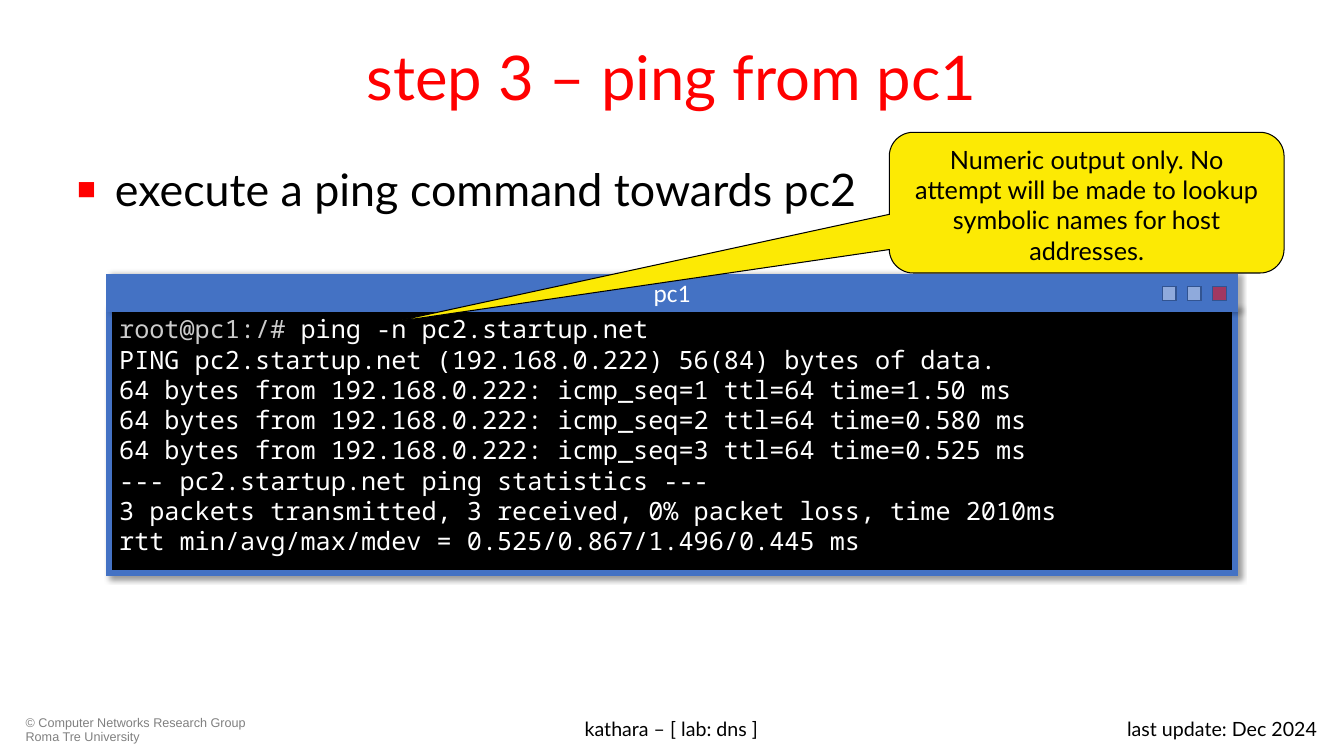
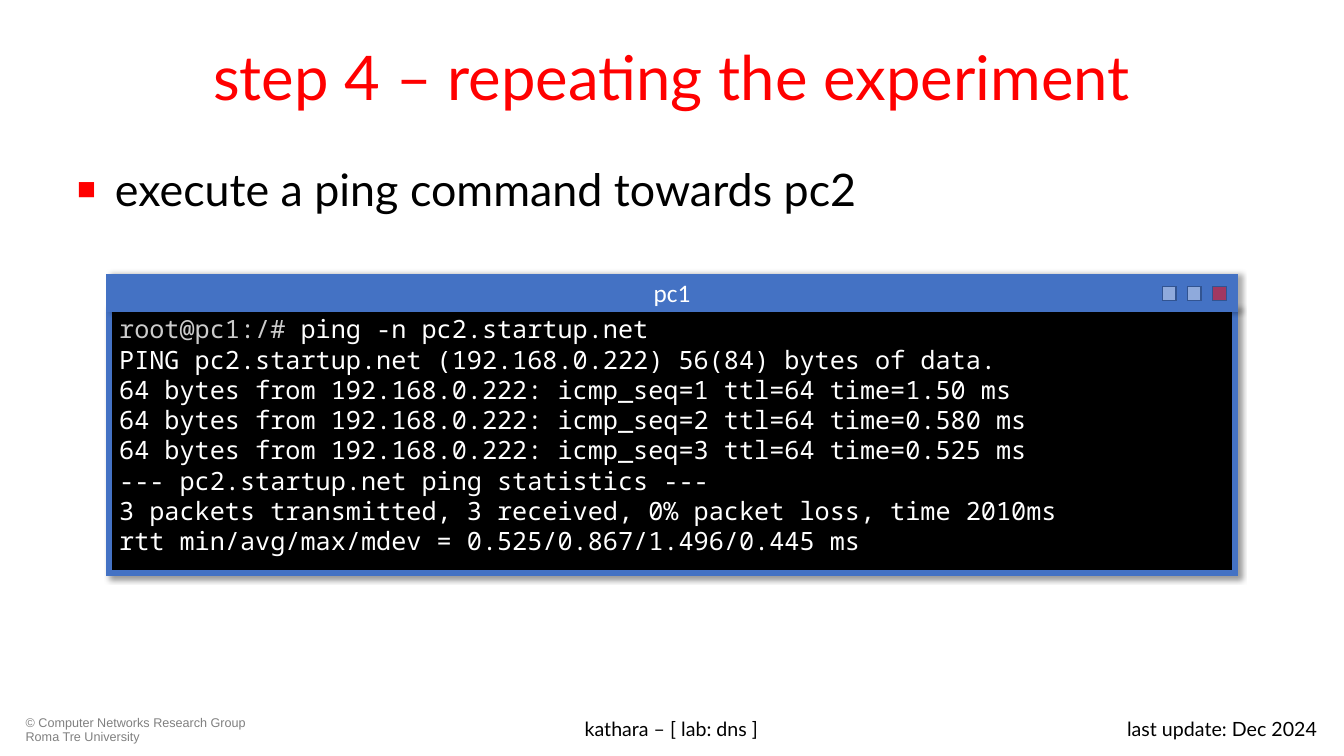
import pptx
import pptx.dml.color
import pptx.enum.shapes
import pptx.enum.text
import pptx.oxml
import pptx.oxml.ns
import pptx.util
from lxml import etree

PX = 9525  # EMU in one px, 96 px to the inch
SHAPE = pptx.enum.shapes.MSO_SHAPE
ALIGN = pptx.enum.text.PP_ALIGN
ANCHOR = pptx.enum.text.MSO_ANCHOR
COLORS = {
    "title": "FF0000", "bullet": "FF0000", "text": "000000", "copyright": "808080",
    "screen": "000000", "frame": "4472C4", "prompt": "CCCCCC", "output": "FFFFFF",
    "button": "8FAADC", "close": "FF0000", "button_line": "325491",
    "callout": "FCEA04", "callout_line": "000000", "shadow": "000000",
}
SANS, MONO = "Lato", "Noto Sans Mono"

PROMPT = "root@pc1:/# "
COMMAND = "ping -n pc2.startup.net"
OUTPUT = [
    "PING pc2.startup.net (192.168.0.222) 56(84) bytes of data.",
    "64 bytes from 192.168.0.222: icmp_seq=1 ttl=64 time=1.50 ms",
    "64 bytes from 192.168.0.222: icmp_seq=2 ttl=64 time=0.580 ms",
    "64 bytes from 192.168.0.222: icmp_seq=3 ttl=64 time=0.525 ms",
    "--- pc2.startup.net ping statistics ---",
    "3 packets transmitted, 3 received, 0% packet loss, time 2010ms",
    "rtt min/avg/max/mdev = 0.525/0.867/1.496/0.445 ms",
]
TASK = "execute a ping command towards pc2"
NOTE = ("Numeric output only. No attempt will be made to lookup "
        "symbolic names for host addresses.")


def px(*lengths):
    return [length * PX for length in lengths]


def rgb(name):
    return pptx.dml.color.RGBColor.from_string(COLORS[name])


def add_child(parent, tag, **attributes):
    child = etree.SubElement(parent, pptx.oxml.ns.qn(tag))
    for key, value in attributes.items():
        child.set(key, str(value))
    return child


def write(frame, paragraphs, size, font=SANS, color="text", align=ALIGN.LEFT,
          anchor=ANCHOR.TOP, spacing=None, bullet=False):
    """Each paragraph is a string or a list of (text, color) runs."""
    frame.word_wrap = True
    frame.auto_size = pptx.enum.text.MSO_AUTO_SIZE.NONE
    frame.vertical_anchor = anchor
    for index, content in enumerate(paragraphs):
        paragraph = frame.add_paragraph() if index else frame.paragraphs[0]
        paragraph.alignment = align
        if spacing:
            paragraph.line_spacing = spacing
        if bullet:
            add_bullet(paragraph)
        runs = [(content, color)] if isinstance(content, str) else content
        for text, run_color in runs:
            run = paragraph.add_run()
            run.text = text
            run.font.size = pptx.util.Pt(size)
            run.font.name = font
            run.font.color.rgb = rgb(run_color)


def add_bullet(paragraph):
    properties = paragraph._p.get_or_add_pPr()
    properties.set("marL", str(36 * PX))
    properties.set("indent", str(-36 * PX))
    add_child(add_child(properties, "a:buClr"), "a:srgbClr", val=COLORS["bullet"])
    add_child(properties, "a:buSzPct", val=70000)
    add_child(properties, "a:buFont", typeface="Arial")
    add_child(properties, "a:buChar", char="■")


def add_text(slide, box, text, size, **text_format):
    area = slide.shapes.add_textbox(*px(*box))
    write(area.text_frame, [text], size, **text_format)


def add_block(shapes, kind, box, fill, line, width):
    block = shapes.add_shape(kind, *px(*box))
    block.shadow.inherit = False
    block.fill.solid()
    block.fill.fore_color.rgb = rgb(fill)
    block.line.color.rgb = rgb(line)
    block.line.width = pptx.util.Pt(width)
    add_child(block.line._get_or_add_ln(), "a:miter", lim=800000)
    return block


def cast_shadow(block, opacity, blur, distance, angle):
    effects = block._element.spPr.find(pptx.oxml.ns.qn("a:effectLst"))
    shadow = add_child(effects, "a:outerShdw", blurRad=blur * 12700,
                       dist=distance * 12700, dir=angle * 60000,
                       algn="tl", rotWithShape=0)
    color = add_child(shadow, "a:srgbClr", val=COLORS["shadow"])
    add_child(color, "a:alpha", val=opacity * 1000)


def add_terminal(slide, box, host):
    """Terminal window: screen, title bar and three window buttons."""
    left, top, width, height = box
    bar_height, button, pitch = 30, 13, 24
    window = slide.shapes.add_group_shape().shapes

    # Screen with the command and its output
    screen = add_block(window, SHAPE.RECTANGLE,
                       (left, top + bar_height, width, height - bar_height),
                       "screen", "frame", 4.5)
    cast_shadow(screen, 40, 4, 3, 45)
    write(screen.text_frame, [[(PROMPT, "prompt"), (COMMAND, "output")], *OUTPUT],
          18, font=MONO, color="output", spacing=pptx.util.Pt(21.6))

    # Title bar
    bar = add_block(window, SHAPE.RECTANGLE, (left, top, width, bar_height),
                    "frame", "frame", 4.5)
    cast_shadow(bar, 32, 4, 2, 0)
    write(bar.text_frame, [host], 18, font="Calibri", color="output",
          align=ALIGN.CENTER, anchor=ANCHOR.MIDDLE)

    # Window buttons, from the right edge inwards
    for index, fill in enumerate(["close", "button", "button"]):
        button_left = left + width - 21 - index * pitch
        key = add_block(window, SHAPE.RECTANGLE,
                        (button_left, top + 9, button, button),
                        fill, "button_line", 1)
        if fill == "close":
            color = key._element.spPr.find(
                pptx.oxml.ns.qn("a:solidFill")).find(pptx.oxml.ns.qn("a:srgbClr"))
            add_child(color, "a:alpha", val=50000)


def add_callout(slide, box, text):
    callout = add_block(slide.shapes, SHAPE.ROUNDED_RECTANGULAR_CALLOUT, box,
                        "callout", "callout_line", 0.75)
    for index, value in enumerate([-1.76, 0.85, 0.17]):
        callout.adjustments[index] = value
    write(callout.text_frame, [text], 18, align=ALIGN.CENTER)


def add_footer(slide, top, height):
    add_text(slide, (15, top, 239, height),
             "© Computer Networks Research Group Roma Tre University", 9,
             font="Arial", color="copyright", spacing=0.9)
    add_text(slide, (327, top, 625, height), "kathara – [ lab: dns ]", 14,
             align=ALIGN.CENTER)
    add_text(slide, (972, top, 292, height), "last update: Dec 2024", 14,
             align=ALIGN.RIGHT)


def add_step_slide(deck, heading, note=None):
    slide = deck.slides.add_slide(deck.slide_layouts[5])
    title = slide.shapes.title
    title.left, title.top, title.width, title.height = px(64, 12, 1152, 120)
    write(title.text_frame, [heading], 44, color="title",
          align=ALIGN.CENTER, anchor=ANCHOR.MIDDLE)
    add_text(slide, (64, 149, 1152, 494), TASK, 32, bullet=True)
    add_terminal(slide, (104, 264, 1072, 282), "pc1")
    if note:
        add_callout(slide, (847, 126, 376, 134), note)
    add_footer(slide, 678, 35)


def main():
    deck = pptx.Presentation()
    deck.slide_width, deck.slide_height = px(1280, 720)
    add_step_slide(deck, "step 3 – ping from pc1", note=NOTE)
    add_step_slide(deck, "step 4 – repeating the experiment")
    deck.save("out.pptx")


if __name__ == "__main__":
    main()
